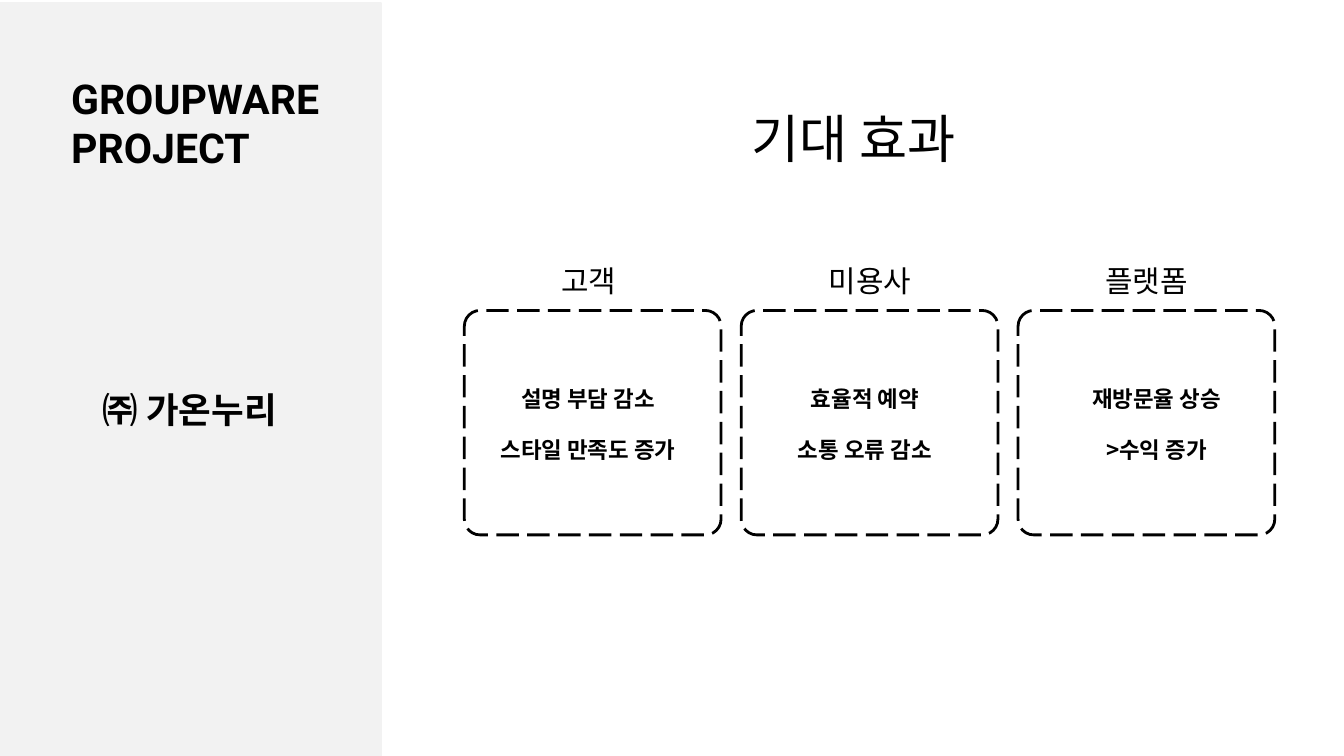
from pptx import Presentation, util as u
from pptx.dml.color import RGBColor
from pptx.enum import dml, shapes, text
from pptx.oxml.ns import qn
from lxml import etree

PX = 9144  # EMU per px, 100 px to the inch
BLACK = RGBColor(0x00, 0x00, 0x00)
WHITE = RGBColor(0xFF, 0xFF, 0xFF)
GREY = RGBColor(0xF2, 0xF2, 0xF2)
KOREAN = "Noto Sans CJK KR"

# heading, body lines, heading shift and body shift from the card's centre
COLUMNS = [
    ("고객", ["설명 부담 감소", "스타일 만족도 증가"], -6, -7),
    ("미용사", ["효율적 예약", "소통 오류 감소"], 0, -7),
    ("플랫폼", ["재방문율 상승", ">수익 증가"], 0, 15),
]


def px(*lengths):
    return [u.Emu(length * PX) for length in lengths]


def add_text(page, box, lines, size, font=KOREAN, bold=False, spacing=None,
             align=text.PP_ALIGN.CENTER, anchor=text.MSO_ANCHOR.TOP, inset=(0, 0)):
    frame = page.shapes.add_textbox(*px(*box)).text_frame
    frame.word_wrap = True
    frame.vertical_anchor = anchor
    frame.margin_left = frame.margin_right = px(inset[0])[0]
    frame.margin_top = frame.margin_bottom = px(inset[1])[0]
    for index, line in enumerate(lines):
        para = frame.add_paragraph() if index else frame.paragraphs[0]
        para.alignment = align
        para.line_spacing = spacing
        span = para.add_run()
        span.text = line
        span.font.name = font
        span.font.size = u.Pt(size)
        span.font.bold = bold
        span.font.color.rgb = BLACK
        # Korean glyphs take the East Asian typeface
        east_asian = etree.SubElement(span.font._element, qn("a:ea"))
        east_asian.set("typeface", KOREAN)


def add_panel(page, kind, box, fill, line, width):
    panel = page.shapes.add_shape(kind, *px(*box))
    panel.shadow.inherit = False
    panel.fill.solid()
    panel.fill.fore_color.rgb = fill
    panel.line.color.rgb = line
    panel.line.width = u.Pt(width)
    return panel


def add_sidebar(page, left, top, width, height):
    add_panel(page, shapes.MSO_SHAPE.RECTANGLE, (left, top, width, height), GREY, GREY, 2)
    add_text(page, (left + 96, top + 100, 396, 145), ["GROUPWARE", "PROJECT"], 44,
             font="Roboto", bold=True, align=text.PP_ALIGN.JUSTIFY, inset=(10, 5))
    add_text(page, (left + 143, top + 526, 303, 128), ["㈜ 가온누리"], 38,
             font="Calibri", bold=True, spacing=1.5, align=text.PP_ALIGN.LEFT,
             anchor=text.MSO_ANCHOR.MIDDLE, inset=(10, 5))


def add_column(page, left, top, width, height, heading, lines, heading_shift, body_shift):
    # Dashed card
    card = add_panel(page, shapes.MSO_SHAPE.ROUNDED_RECTANGLE,
                     (left, top, width, height), WHITE, BLACK, 3)
    card.adjustments[0] = 0.07
    card.line.dash_style = dml.MSO_LINE.LONG_DASH

    # Heading above, body inside
    centre = left + width // 2
    add_text(page, (centre + heading_shift - 261, top - 124, 523, 94), [heading], 32,
             spacing=u.Pt(77))
    add_text(page, (centre + body_shift - 212, top + 75, 424, 142), lines, 24,
             bold=True, spacing=u.Pt(54.5))


def add_effects(page, left, top):
    add_text(page, (left, top, 1195, 137), ["기대 효과"], 56, spacing=u.Pt(114.3))
    for index, column in enumerate(COLUMNS):
        add_column(page, left + 18 + index * 412, top + 369, 382, 334, *column)


def main():
    deck = Presentation()
    deck.slide_width, deck.slide_height = px(2000, 1125)
    page = deck.slides.add_slide(deck.slide_layouts[6])
    add_sidebar(page, 0, 4, 567, 1121)
    add_effects(page, 673, 93)
    deck.save("out.pptx")


if __name__ == "__main__":
    main()
